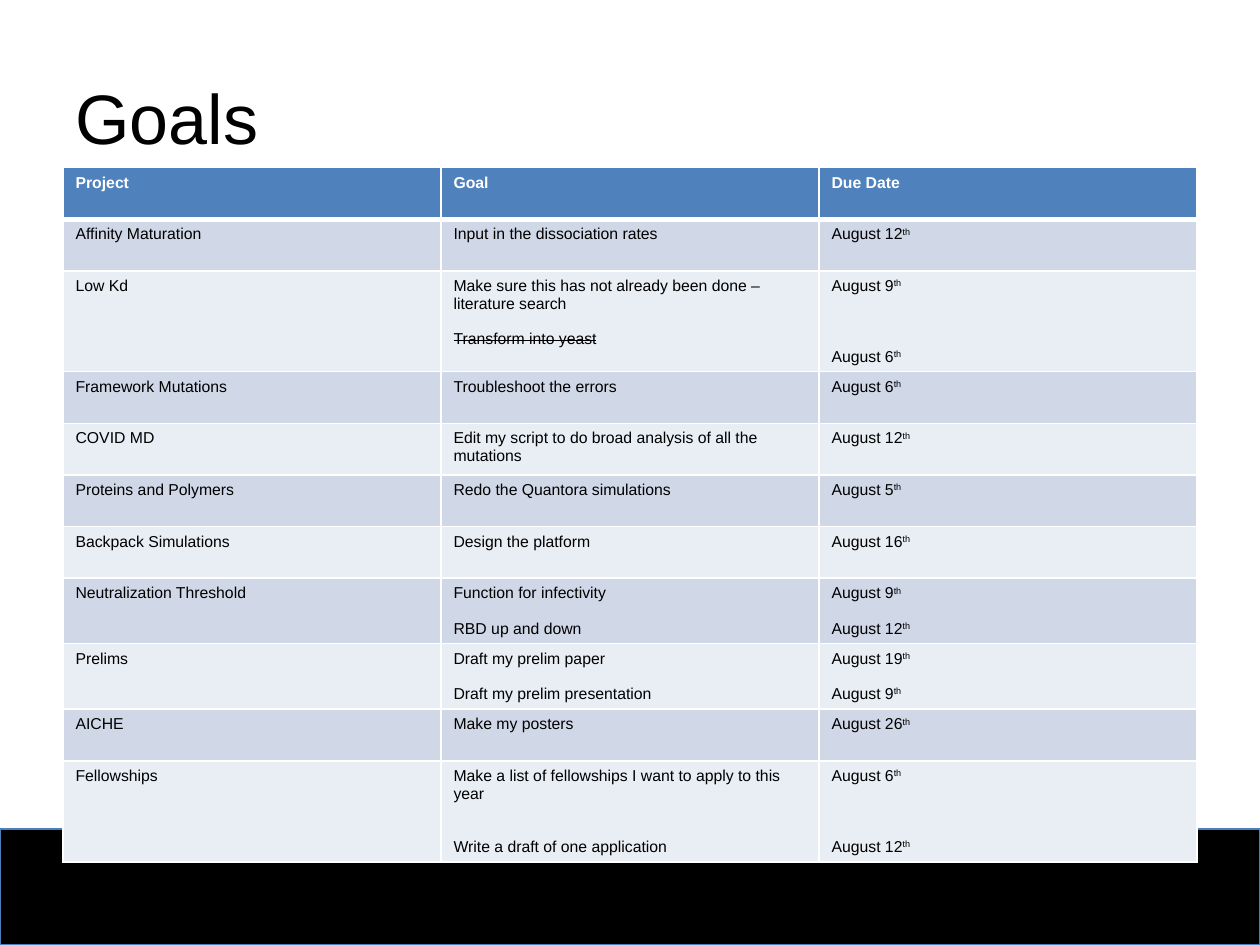
from dataclasses import dataclass

from lxml.etree import SubElement
from pptx import Presentation
from pptx.dml.color import RGBColor
from pptx.enum.shapes import MSO_SHAPE
from pptx.enum.text import MSO_ANCHOR
from pptx.oxml.ns import qn
from pptx.util import Inches, Pt

BLACK = RGBColor(0x00, 0x00, 0x00)
WHITE = RGBColor(0xFF, 0xFF, 0xFF)
BLUE = RGBColor(0x4F, 0x81, 0xBD)
EDGE = RGBColor(0x4B, 0x7E, 0xBC)
BANDS = (RGBColor(0xE9, 0xED, 0xF4), RGBColor(0xD0, 0xD8, 0xE8))

TITLE = {"name": "Arial", "size": Pt(40)}
HEAD = {"name": "Arial", "size": Pt(9), "bold": True}
BODY = {"name": "Arial", "size": Pt(9), "bold": False}
LINE = 10.1  # height in points of one line of body text


@dataclass
class Entry:
    """One paragraph; gap is the number of text lines left free above it."""
    text: str
    gap: int = 0
    struck: bool = False
    suffix: str = ""


@dataclass
class Row:
    project: str
    goals: list[Entry]
    dates: list[Entry]
    height: float = 0.41


def day(number: int, gap: int = 0) -> Entry:
    return Entry(f"August {number}", gap, suffix="th")


ROWS = [
    Row("Affinity Maturation", [Entry("Input in the dissociation rates")], [day(12)]),
    Row("Low Kd",
        [Entry("Make sure this has not already been done – literature search"),
         Entry("Transform into yeast", 1, struck=True)],
        [day(9), day(6, 3)], 0.8),
    Row("Framework Mutations", [Entry("Troubleshoot the errors")], [day(6)]),
    Row("COVID MD",
        [Entry("Edit my script to do broad analysis of all the mutations")], [day(12)]),
    Row("Proteins and Polymers", [Entry("Redo the Quantora simulations")], [day(5)]),
    Row("Backpack Simulations", [Entry("Design the platform")], [day(16)]),
    Row("Neutralization Threshold",
        [Entry("Function for infectivity"), Entry("RBD up and down", 1)],
        [day(9), day(12, 1)], 0.52),
    Row("Prelims",
        [Entry("Draft my prelim paper"), Entry("Draft my prelim presentation", 1)],
        [day(19), day(9, 1)], 0.52),
    Row("AICHE", [Entry("Make my posters")], [day(26)]),
    Row("Fellowships",
        [Entry("Make a list of fellowships I want to apply to this year"),
         Entry("Write a draft of one application", 2)],
        [day(6), day(12, 3)], 0.8),
]


def add_run(para, text: str, style: dict, color: RGBColor, **marks: str) -> None:
    """Add a run; marks are raw run attributes such as strike or baseline."""
    run = para.add_run()
    run.text = text
    for key, value in style.items():
        setattr(run.font, key, value)
    run.font.color.rgb = color
    for key, value in marks.items():
        run.font._element.set(key, value)


def add_edges(cell, top: float, bottom: float) -> None:
    props = cell._tc.get_or_add_tcPr()
    for side, width in (("L", 1), ("R", 1), ("T", top), ("B", bottom)):
        line = SubElement(props, qn(f"a:ln{side}"), w=str(Pt(width)))
        fill = SubElement(line, qn("a:solidFill"))
        SubElement(fill, qn("a:srgbClr"), val=str(WHITE))


def fill_cell(cell, entries: list[Entry], style: dict, color: RGBColor,
              fill: RGBColor, top: float = 1, bottom: float = 1) -> None:
    add_edges(cell, top, bottom)
    cell.fill.solid()
    cell.fill.fore_color.rgb = fill
    cell.margin_bottom = Inches(0.02)
    frame = cell.text_frame
    for i, entry in enumerate(entries):
        para = frame.add_paragraph() if i else frame.paragraphs[0]
        if entry.gap:
            para.space_before = Pt(entry.gap * LINE)
        marks = {"strike": "sngStrike"} if entry.struck else {}
        add_run(para, entry.text, style, color, **marks)
        if entry.suffix:
            add_run(para, entry.suffix, style, color, baseline="30000")


def add_footer(slide) -> None:
    band = slide.shapes.add_shape(
        MSO_SHAPE.RECTANGLE, Inches(0), Inches(6.58), Inches(10), Inches(0.92))
    band.shadow.inherit = False
    band.fill.solid()
    band.fill.fore_color.rgb = BLACK
    band.line.color.rgb = EDGE
    band.line.width = Pt(0.75)


def add_title(slide) -> None:
    box = slide.shapes.add_textbox(Inches(0.5), Inches(0.3), Inches(9), Inches(1.25))
    frame = box.text_frame
    frame.word_wrap = True
    frame.vertical_anchor = MSO_ANCHOR.MIDDLE
    add_run(frame.paragraphs[0], "Goals", TITLE, BLACK)


def add_goals(slide) -> None:
    heights = [0.41] + [row.height for row in ROWS]
    table = slide.shapes.add_table(
        len(heights), 3, Inches(0.5), Inches(1.33),
        Inches(9), Inches(sum(heights))).table
    for row, height in zip(table.rows, heights):
        row.height = Inches(height)
    for col, text in enumerate(("Project", "Goal", "Due Date")):
        fill_cell(table.cell(0, col), [Entry(text)], HEAD, WHITE, BLUE, bottom=3)
    for i, row in enumerate(ROWS, 1):
        for col, entries in enumerate(([Entry(row.project)], row.goals, row.dates)):
            fill_cell(table.cell(i, col), entries, BODY, BLACK, BANDS[i % 2],
                      top=3 if i == 1 else 1)


def main() -> None:
    deck = Presentation()
    deck.slide_width, deck.slide_height = Inches(10), Inches(7.5)
    slide = deck.slides.add_slide(deck.slide_layouts[6])
    add_footer(slide)
    add_title(slide)
    add_goals(slide)
    deck.save("out.pptx")


if __name__ == "__main__":
    main()
